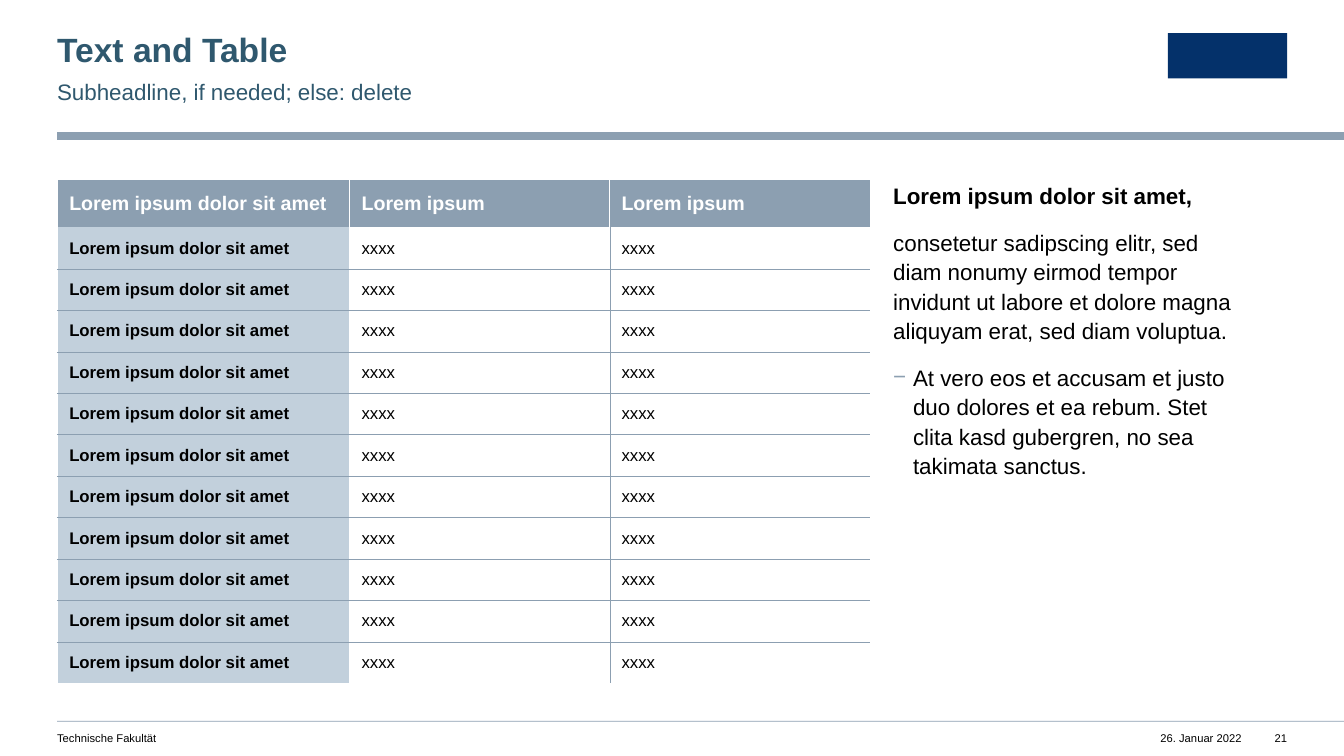
"""Builds a slide with a table on the left and explanatory text on the right."""
from dataclasses import dataclass
from typing import Optional

from lxml import etree
from pptx import Presentation
from pptx import util as u
from pptx.dml.color import RGBColor
from pptx.enum import shapes, text
from pptx.oxml.ns import qn

COLOURS = {
    "steel": "8C9FB1",
    "mist": "C2D0DC",
    "petrol": "2F586E",
    "navy": "04316A",
    "white": "FFFFFF",
    "black": "000000",
}
FONT = "Arial"
LEFT, RIGHT, TABLE_TOP = 40.8, 919.4, 128.4
COLUMN_WIDTHS = (208.8, 185.7, 185.7)
HEADER_HEIGHT, ROW_HEIGHT, ROW_COUNT = 34.1, 29.6, 11
HEADINGS = ("Lorem ipsum dolor sit amet", "Lorem ipsum", "Lorem ipsum")
ENTRIES = ("Lorem ipsum dolor sit amet", "xxxx", "xxxx")


@dataclass(frozen=True)
class Box:
    left: float
    top: float
    width: float
    height: float

    def lengths(self) -> tuple:
        return tuple(u.Pt(v) for v in (self.left, self.top, self.width, self.height))


@dataclass(frozen=True)
class Block:
    box: Box
    colour: str


@dataclass(frozen=True)
class Words:
    content: str
    size: float
    colour: str = "black"
    bold: bool = False
    align: text.PP_ALIGN = text.PP_ALIGN.LEFT
    spacing: Optional[float] = None
    after: float = 0
    dash: bool = False


@dataclass(frozen=True)
class Edge:
    colour: str
    width: float


BLOCKS = (
    Block(Box(LEFT, 94.4, 960 - LEFT, 5.6), "steel"),
    Block(Box(LEFT, 514.9, 960 - LEFT, 0.6), "steel"),
    Block(Box(834.3, 23.6, 85.1, 32.4), "navy"),
)
FOOTERS = (
    (Box(820, 522.6, 67, 9.4), Words("26. Januar 2022", 8, align=text.PP_ALIGN.RIGHT)),
    (Box(LEFT, 522.6, 430, 9.4), Words("Technische Fakultät", 8)),
    (Box(RIGHT - 15, 522.6, 15, 9.4), Words("21", 8, align=text.PP_ALIGN.RIGHT)),
)
TITLE = Words("Text and Table", 24, "petrol", True, spacing=0.9)
SUBHEADLINE = Words("Subheadline, if needed; else: delete", 16, "petrol", spacing=1.1, after=12)
EXPLANATION = (
    Words("Lorem ipsum dolor sit amet,", 16, bold=True, spacing=1.1, after=12),
    Words("consetetur sadipscing elitr, sed diam nonumy eirmod tempor invidunt ut labore "
          "et dolore magna aliquyam erat, sed diam voluptua.", 16, spacing=1.1, after=12),
    Words("At vero eos et accusam et justo duo dolores et ea rebum. Stet clita kasd "
          "gubergren, no sea takimata sanctus.", 16, spacing=1.1, after=12, dash=True),
)


def rgb(name: str) -> RGBColor:
    return RGBColor.from_string(COLOURS[name])


def add_colour(parent, name: str) -> None:
    etree.SubElement(parent, qn("a:srgbClr"), val=COLOURS[name])


def write_paragraph(paragraph, words: Words) -> None:
    paragraph.alignment = words.align
    paragraph.space_before = u.Pt(0)
    paragraph.space_after = u.Pt(words.after)
    if words.spacing:
        paragraph.line_spacing = words.spacing
    paragraph.level = int(words.dash)
    run = paragraph.add_run()
    run.text = words.content
    run.font.name, run.font.size, run.font.bold = FONT, u.Pt(words.size), words.bold
    run.font.color.rgb = rgb(words.colour)


def set_bullet(paragraph, dash: bool) -> None:
    properties = paragraph._p.get_or_add_pPr()
    indent = u.Pt(14.2) if dash else 0
    properties.set("marL", str(indent))
    properties.set("indent", str(-indent))
    if dash:
        add_colour(etree.SubElement(properties, qn("a:buClr")), "steel")
        etree.SubElement(properties, qn("a:buChar"), char="−")
    else:
        etree.SubElement(properties, qn("a:buNone"))


def fill_frame(shape, box: Box, *lines: Words, right_inset: float = 0) -> None:
    shape.left, shape.top, shape.width, shape.height = box.lengths()
    frame = shape.text_frame
    frame.word_wrap = True
    frame.auto_size = text.MSO_AUTO_SIZE.NONE
    frame.vertical_anchor = text.MSO_ANCHOR.TOP
    frame.margin_left = frame.margin_top = frame.margin_bottom = 0
    frame.margin_right = u.Pt(right_inset)
    for position, words in enumerate(lines):
        paragraph = frame.add_paragraph() if position else frame.paragraphs[0]
        write_paragraph(paragraph, words)
        set_bullet(paragraph, words.dash)


def add_block(slide, block: Block) -> None:
    rectangle = slide.shapes.add_shape(shapes.MSO_SHAPE.RECTANGLE, *block.box.lengths())
    rectangle.shadow.inherit = False
    rectangle.fill.solid()
    rectangle.fill.fore_color.rgb = rgb(block.colour)
    rectangle.line.fill.background()


def set_edge(cell, side: str, edge: Optional[Edge]) -> None:
    line = etree.SubElement(cell._tc.get_or_add_tcPr(), qn(f"a:ln{side}"))
    if edge:
        line.set("w", str(u.Pt(edge.width)))
        add_colour(etree.SubElement(line, qn("a:solidFill")), edge.colour)
    else:
        etree.SubElement(line, qn("a:noFill"))


def cell_edges(row: int, column: int) -> dict[str, Optional[Edge]]:
    rule = Edge("steel", 0.25)
    if row == 0:
        uprights = (Edge("white", 1), Edge("white", 0.5), Edge("white", 0.5), None)
    else:
        uprights = (Edge("white", 1), Edge("white", 1), rule, None)
    return {
        "L": uprights[column],
        "R": uprights[column + 1],
        "T": rule if row > 1 else None,
        "B": rule if 0 < row < ROW_COUNT else None,
    }


def format_cell(cell, row: int, column: int) -> None:
    for side, edge in cell_edges(row, column).items():
        set_edge(cell, side, edge)
    background = "steel" if row == 0 else "mist" if column == 0 else None
    if background:
        cell.fill.solid()
        cell.fill.fore_color.rgb = rgb(background)
    else:
        cell.fill.background()
    cell.vertical_anchor = text.MSO_ANCHOR.MIDDLE
    cell.margin_left = cell.margin_right = u.Pt(8.5)
    cell.margin_top = cell.margin_bottom = u.Pt(2.8)
    words = (Words(HEADINGS[column], 14, "white", True) if row == 0
             else Words(ENTRIES[column], 12, bold=column == 0))
    write_paragraph(cell.text_frame.paragraphs[0], words)


def add_lorem_table(slide) -> None:
    box = Box(LEFT + 0.2, TABLE_TOP, sum(COLUMN_WIDTHS), HEADER_HEIGHT + ROW_COUNT * ROW_HEIGHT)
    table = slide.shapes.add_table(ROW_COUNT + 1, len(COLUMN_WIDTHS), *box.lengths()).table
    table.horz_banding = False
    for column, width in zip(table.columns, COLUMN_WIDTHS):
        column.width = u.Pt(width)
    for row, line in enumerate(table.rows):
        line.height = u.Pt(ROW_HEIGHT if row else HEADER_HEIGHT)
        for column, cell in enumerate(line.cells):
            format_cell(cell, row, column)


def main() -> None:
    deck = Presentation()
    deck.slide_width, deck.slide_height = u.Pt(960), u.Pt(540)
    slide = deck.slides.add_slide(deck.slide_layouts.get_by_name("Two Content"))
    for block in BLOCKS:
        add_block(slide, block)
    for box, words in FOOTERS:
        fill_frame(slide.shapes.add_textbox(*box.lengths()), box, words)
    title, explanation, subheadline = slide.placeholders
    fill_frame(title, Box(LEFT, 23.6, 539.3, 25.9), TITLE)
    fill_frame(explanation, Box(638, TABLE_TOP, 281.4, 360), *EXPLANATION, right_inset=28.3)
    fill_frame(subheadline, Box(LEFT, 54, 539.3, 19.4), SUBHEADLINE, right_inset=28.3)
    add_lorem_table(slide)
    deck.save("out.pptx")


if __name__ == "__main__":
    main()
